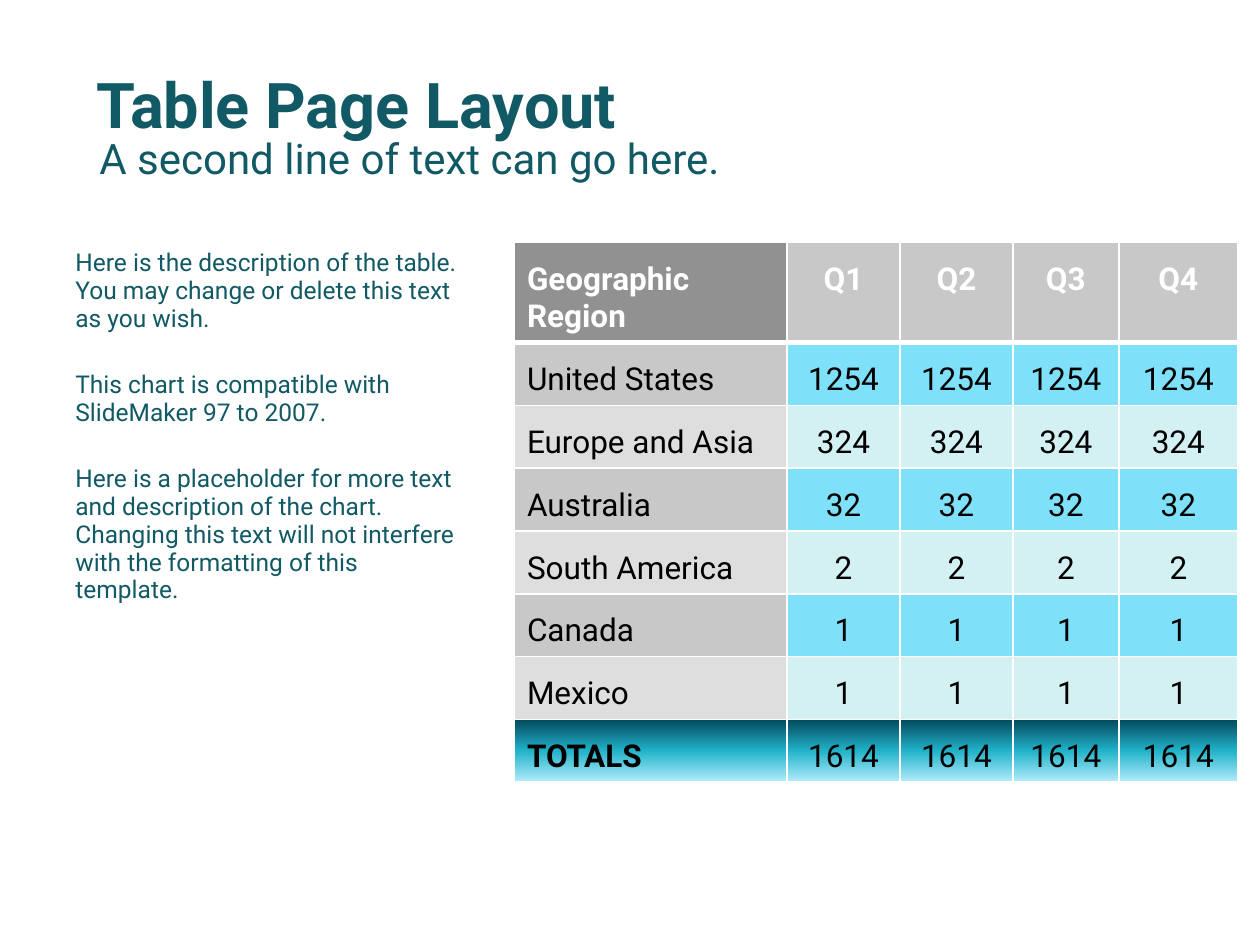
from copy import deepcopy

from lxml import etree
from pptx import Presentation
from pptx.dml.color import RGBColor
from pptx.enum.text import MSO_ANCHOR, PP_ALIGN
from pptx.oxml.ns import qn
from pptx.util import Emu, Pt

SCALE = 914400 / 126
FONT = "Roboto"
BLANK_LAYOUT = 6
LEFT, CENTER = PP_ALIGN.LEFT, PP_ALIGN.CENTER
TOP, MIDDLE = MSO_ANCHOR.TOP, MSO_ANCHOR.MIDDLE

TEAL = RGBColor(0x11, 0x59, 0x64)
WHITE = RGBColor(0xFF, 0xFF, 0xFF)
BLACK = RGBColor(0x00, 0x00, 0x00)
DARK_GRAY = RGBColor(0x80, 0x80, 0x80)
GRAY = RGBColor(0xBF, 0xBF, 0xBF)
LIGHT_GRAY = RGBColor(0xD9, 0xD9, 0xD9)
SKY = RGBColor(0x6B, 0xDB, 0xFA)
PALE = RGBColor(0xCC, 0xEE, 0xF1)
TOTAL_STOPS = [
    (0, RGBColor(0x03, 0x49, 0x5C)),
    (0.5, RGBColor(0x21, 0xB2, 0xC9)),
    (1, RGBColor(0xB5, 0xED, 0xFD)),
]

DESCRIPTION = [
    "Here is the description of the table.  You may change or delete this text as you wish.",
    "This chart is compatible with SlideMaker 97 to 2007.",
    "Here is a placeholder for more text and description of the chart.  "
    "Changing this text will not interfere with the formatting of this template.",
]
HEADINGS = ["Geographic Region", "Q1", "Q2", "Q3", "Q4"]
REGIONS = [
    ("United States", 1254),
    ("Europe and Asia", 324),
    ("Australia", 32),
    ("South America", 2),
    ("Canada", 1),
    ("Mexico", 1),
]
COLUMN_WIDTHS = [273, 113, 113, 106, 119]
HEADER_HEIGHT, ROW_HEIGHT = 98, 62


def px(length):
    return Emu(round(length * SCALE))


def add_span(para, text, size, color, bold=False):
    span = para.add_run()
    span.text = text
    span.font.name = FONT
    span.font.size = Pt(size)
    span.font.bold = bold
    span.font.color.rgb = color


def add_text(page, bounds, texts, size, bold=False, anchor=TOP, leading=None, gap=0):
    box = page.shapes.add_textbox(*map(px, bounds))
    frame = box.text_frame
    frame.word_wrap = True
    frame.vertical_anchor = anchor
    for index, text in enumerate(texts):
        para = frame.add_paragraph() if index else frame.paragraphs[0]
        if leading:
            para.line_spacing = Pt(leading)
        if index:
            para.space_before = Pt(gap)
        add_span(para, text, size, TEAL, bold)


def fill_solid(cell, color):
    cell.fill.solid()
    cell.fill.fore_color.rgb = color
    color_node = cell._tc.tcPr.find(qn("a:solidFill"))[0]
    etree.SubElement(color_node, qn("a:alpha"), val="86000")


def fill_gradient(cell):
    cell.fill.gradient()
    cell.fill.gradient_angle = 270
    stop_list = cell._tc.tcPr.find(qn("a:gradFill")).find(qn("a:gsLst"))
    stop_list.insert(1, deepcopy(stop_list[0]))
    for stop, (position, color) in zip(cell.fill.gradient_stops, TOTAL_STOPS):
        stop.position = position
        stop.color.rgb = color


def add_borders(cell, top, bottom):
    widths = {"a:lnL": 1, "a:lnR": 1, "a:lnT": top, "a:lnB": bottom}
    for index, (side, width) in enumerate(widths.items()):
        line = etree.Element(qn(side), w=str(Pt(width)))
        fill = etree.SubElement(line, qn("a:solidFill"))
        etree.SubElement(fill, qn("a:srgbClr"), val=str(WHITE))
        cell._tc.tcPr.insert(index, line)


def write_cell(cell, text, color, bold, align):
    cell.margin_left = cell.margin_right = px(13)
    cell.margin_top, cell.margin_bottom = px(19), px(6)
    para = cell.text_frame.paragraphs[0]
    para.alignment = align
    add_span(para, text, 18, color, bold)


def add_region_table(page):
    totals = ("TOTALS", sum(value for _, value in REGIONS))
    rows = [HEADINGS] + [[name] + [str(value)] * 4 for name, value in REGIONS + [totals]]
    heights = [HEADER_HEIGHT] + [ROW_HEIGHT] * (len(rows) - 1)
    table = page.shapes.add_table(
        len(rows), len(HEADINGS), px(514), px(242), px(sum(COLUMN_WIDTHS)), px(sum(heights))
    ).table
    table.first_row = table.horz_banding = False
    for column, width in zip(table.columns, COLUMN_WIDTHS):
        column.width = px(width)
    for row, height in zip(table.rows, heights):
        row.height = px(height)

    last = len(rows) - 1
    for r, texts in enumerate(rows):
        if r == 0:
            fills = DARK_GRAY, GRAY
        else:
            fills = (GRAY, SKY) if r % 2 else (LIGHT_GRAY, PALE)
        for c, text in enumerate(texts):
            cell = table.cell(r, c)
            bold = r == 0 or (r == last and c == 0)
            write_cell(cell, text, BLACK if r else WHITE, bold, CENTER if c else LEFT)
            if r == last:
                fill_gradient(cell)
            else:
                fill_solid(cell, fills[min(c, 1)])
            add_borders(cell, 3 if r == 1 else 1, 1 if r else 3)


def main():
    deck = Presentation()
    deck.slide_width, deck.slide_height = px(1260), px(945)
    page = deck.slides.add_slide(deck.slide_layouts[BLANK_LAYOUT])
    add_text(page, (63, 242, 415, 602), DESCRIPTION, 14, leading=16, gap=21.7)
    add_text(page, (84, 59, 1134, 88), ["Table Page Layout"], 36, bold=True, anchor=MIDDLE)
    add_text(page, (87, 126, 1124, 63), ["A second line of text can go here."], 24)
    add_region_table(page)
    deck.save("out.pptx")


if __name__ == "__main__":
    main()
